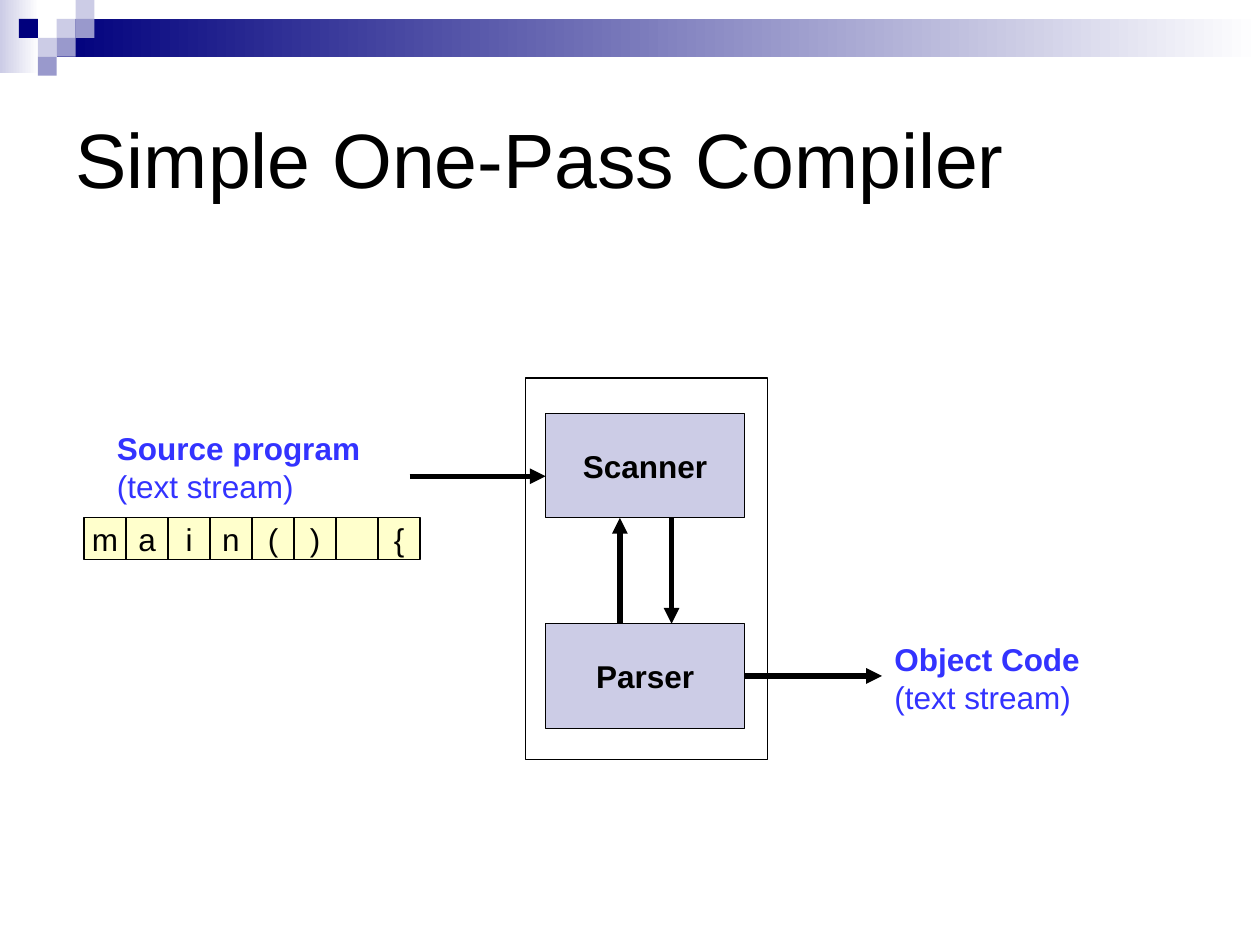
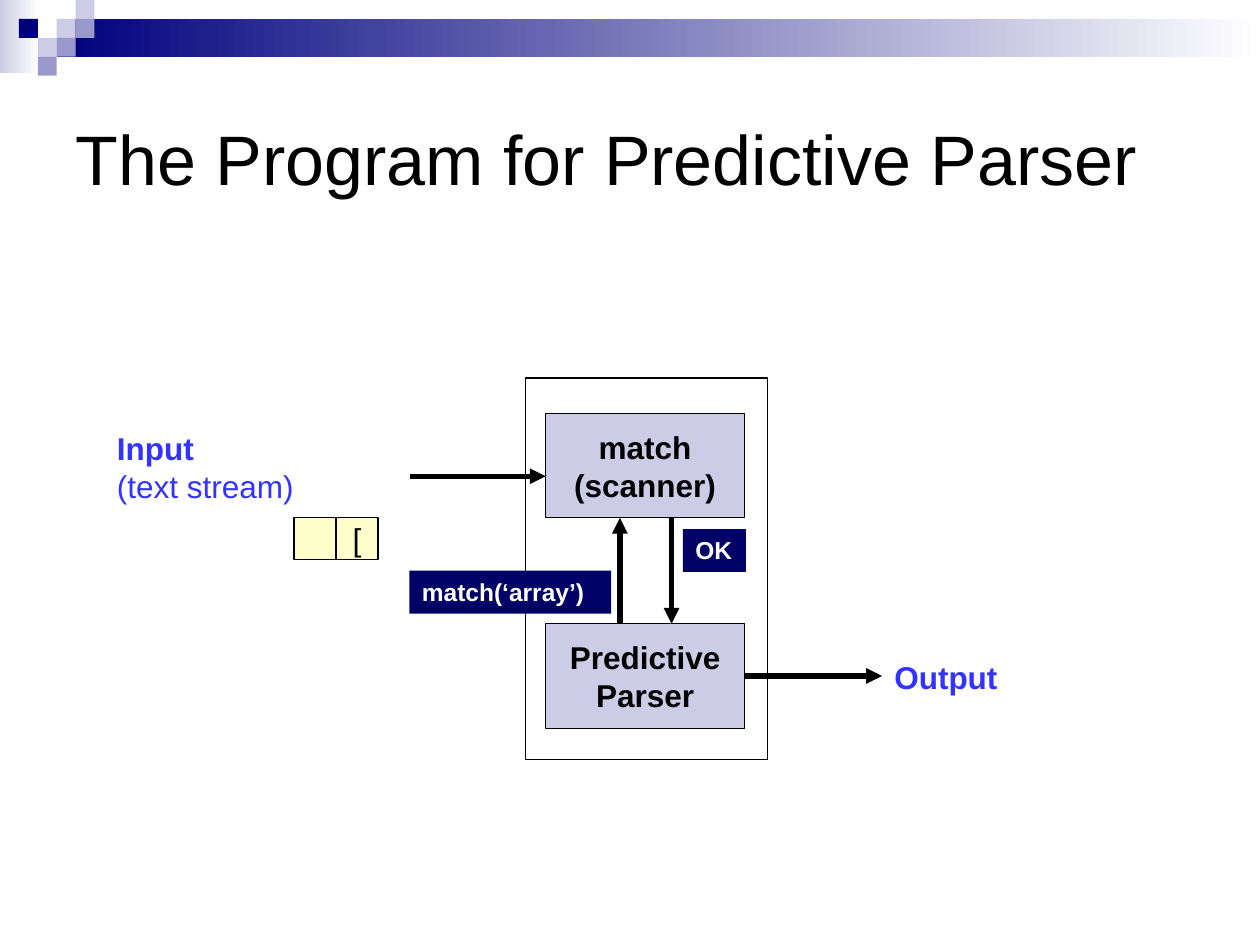
"""Build two slides that show a one-pass compiler and a predictive parser as block diagrams."""
from dataclasses import dataclass
from typing import Optional

from lxml import etree
from pptx import Presentation
from pptx import slide as sl
from pptx.dml import color
from pptx.enum import shapes, text
from pptx.oxml import ns
from pptx.shapes import autoshape, connector, shapetree
from pptx.text import text as txt
from pptx import util as u

FONT = "Arial"
BLACK, WHITE = "000000", "FFFFFF"
NAVY, LAVENDER, VIOLET = "00007D", "CCCCE6", "9999CC"
CAPTION_BLUE, TAG_NAVY, CREAM = "3333FF", "000066", "FFFFCC"
SQUARE = 0.15
CELL = 1 / 3
CELL_LEFT, CELL_TOP = 2 * CELL, 4.11


@dataclass
class Box:
    left: float
    top: float
    width: float
    height: float

    def lengths(self) -> list[u.Length]:
        return [u.Inches(v) for v in (self.left, self.top, self.width, self.height)]


@dataclass
class Tag:
    box: Box
    label: str


@dataclass
class Diagram:
    title: str
    title_size: int
    scanner: str
    parser: str
    source: str
    result: str
    result_box: Box
    stream: list[str]
    first_cell: int = 0
    tags: tuple[Tag, ...] = ()


SCANNER = Box(4.33, 3.28, 1.58, 0.83)
PARSER = Box(4.33, 4.95, 1.58, 0.83)
FRAME = Box(4.17, 3, 1.92, 3.03)
SOURCE = Box(0.83, 3.36, 3.67, 1)
TITLE = Box(0.5, 0.5, 9, 1.5)
FADES = [(Box(0, 0, 0.31, 0.58), LAVENDER), (Box(0.45, 0.15, 9.55, 0.3), NAVY)]
SQUARES = [(3, 1, LAVENDER), (4, 0, LAVENDER), (4, 1, VIOLET), (2, 2, LAVENDER),
           (1, 1, NAVY), (3, 2, VIOLET), (2, 3, VIOLET)]

DIAGRAMS = [
    Diagram("Simple One-Pass Compiler", 44, "Scanner", "Parser",
            "Source program\n(text stream)", "Object Code\n(text stream)",
            Box(7, 5.03, 2.33, 0.7), ["m", "a", "i", "n", "(", ")", "", "{"]),
    Diagram("The Program for Predictive Parser", 40, "match\n(scanner)", "Predictive\nParser",
            "Input\n(text stream)", "Output", Box(7, 5.17, 2.33, 0.4), ["", "["], 5,
            (Tag(Box(3.25, 4.53, 1.6, 0.34), "match(‘array’)"),
             Tag(Box(5.42, 4.2, 0.5, 0.34), "OK"))),
]


def rgb(value: str) -> color.RGBColor:
    return color.RGBColor.from_string(value)


def write(tf: txt.TextFrame, content: str, size: float, ink: str = BLACK, bold: bool = False,
          align: text.PP_ALIGN = text.PP_ALIGN.LEFT) -> None:
    tf.text = content
    for p in tf.paragraphs:
        p.alignment = align
        for r in p.runs:
            r.font.name, r.font.size, r.font.bold = FONT, u.Pt(size), bold
            r.font.color.rgb = rgb(ink)


def add_rect(tree: shapetree.SlideShapes, box: Box, fill: Optional[str] = None,
             outlined: bool = False) -> autoshape.Shape:
    sp = tree.add_shape(shapes.MSO_SHAPE.RECTANGLE, *box.lengths())
    sp.shadow.inherit = False
    if fill:
        sp.fill.solid()
        sp.fill.fore_color.rgb = rgb(fill)
    else:
        sp.fill.background()
    if outlined:
        sp.line.color.rgb = rgb(BLACK)
        sp.line.width = u.Pt(0.75)
    else:
        sp.line.fill.background()
    return sp


def add_block(s: sl.Slide, box: Box, label: str, fill: str, bold: bool) -> autoshape.Shape:
    sp = add_rect(s.shapes, box, fill, outlined=True)
    tf = sp.text_frame
    tf.word_wrap = False
    tf.vertical_anchor = text.MSO_ANCHOR.MIDDLE
    write(tf, label, 18, bold=bold, align=text.PP_ALIGN.CENTER)
    return sp


def add_caption(s: sl.Slide, box: Box, content: str) -> None:
    tf = s.shapes.add_textbox(*box.lengths()).text_frame
    tf.word_wrap = True
    tf.auto_size = text.MSO_AUTO_SIZE.SHAPE_TO_FIT_TEXT
    write(tf, content, 18, CAPTION_BLUE, bold=True)
    for p in tf.paragraphs[1:]:
        for r in p.runs:
            r.font.bold = False


def add_tag(s: sl.Slide, tag: Tag) -> None:
    tf = add_rect(s.shapes, tag.box, TAG_NAVY).text_frame
    tf.word_wrap = True
    tf.auto_size = text.MSO_AUTO_SIZE.SHAPE_TO_FIT_TEXT
    tf.vertical_anchor = text.MSO_ANCHOR.TOP
    write(tf, tag.label, 14, WHITE, bold=True)


def add_arrow(s: sl.Slide, x1: float, y1: float, x2: float, y2: float) -> connector.Connector:
    cxn = s.shapes.add_connector(shapes.MSO_CONNECTOR.STRAIGHT,
                                 *[u.Inches(v) for v in (x1, y1, x2, y2)])
    cxn.line.color.rgb = rgb(BLACK)
    cxn.line.width = u.Pt(3)
    props = cxn.element.spPr
    etree.SubElement(props.find(ns.qn("a:ln")), ns.qn("a:tailEnd"), type="triangle")
    etree.SubElement(props, ns.qn("a:effectLst"))
    return cxn


def add_master_band(master: sl.SlideMaster, s: sl.Slide) -> None:
    group = s.shapes.add_group_shape()
    for box, start in FADES:
        fill = add_rect(group.shapes, box).fill
        fill.gradient()
        fill.gradient_angle = 0
        for stop, position, shade in zip(fill.gradient_stops, (0, 1), (start, WHITE)):
            stop.position = position
            stop.color.rgb = rgb(shade)
    for col, row, shade in SQUARES:
        add_rect(group.shapes, Box(col * SQUARE, row * SQUARE, SQUARE, SQUARE), shade)
    master.shapes.element.insert(2, group.element)


def add_title(s: sl.Slide, diagram: Diagram) -> None:
    sp = s.shapes.title
    sp.left, sp.top, sp.width, sp.height = TITLE.lengths()
    tf = sp.text_frame
    tf.auto_size = text.MSO_AUTO_SIZE.NONE
    tf.vertical_anchor = text.MSO_ANCHOR.MIDDLE
    write(tf, diagram.title, diagram.title_size)


def add_diagram(s: sl.Slide, diagram: Diagram) -> None:
    add_title(s, diagram)
    add_block(s, SCANNER, diagram.scanner, LAVENDER, bold=True)
    add_caption(s, SOURCE, diagram.source)
    add_arrow(s, 3.25, 3.78, SCANNER.left, 3.78)
    parser = add_block(s, PARSER, diagram.parser, LAVENDER, bold=True)
    add_caption(s, diagram.result_box, diagram.result)
    scanner_bottom = SCANNER.top + SCANNER.height
    add_arrow(s, 5.33, scanner_bottom, 5.33, PARSER.top)
    add_arrow(s, 4.92, PARSER.top, 4.92, scanner_bottom)
    middle = PARSER.top + PARSER.height / 2
    output = add_arrow(s, PARSER.left + PARSER.width, middle, 7, middle)
    output.begin_connect(parser, 3)
    add_rect(s.shapes, FRAME, outlined=True)
    for tag in diagram.tags:
        add_tag(s, tag)
    for i, char in enumerate(diagram.stream, diagram.first_cell):
        add_block(s, Box(CELL_LEFT + i * CELL, CELL_TOP, CELL, CELL), char, CREAM, bold=False)


def main() -> None:
    prs = Presentation()
    prs.slide_width, prs.slide_height = u.Inches(10), u.Inches(7.5)
    slides = [prs.slides.add_slide(prs.slide_layouts[5]) for _ in DIAGRAMS]
    add_master_band(prs.slide_master, slides[0])
    for s, diagram in zip(slides, DIAGRAMS):
        add_diagram(s, diagram)
    prs.save("out.pptx")


if __name__ == "__main__":
    main()
